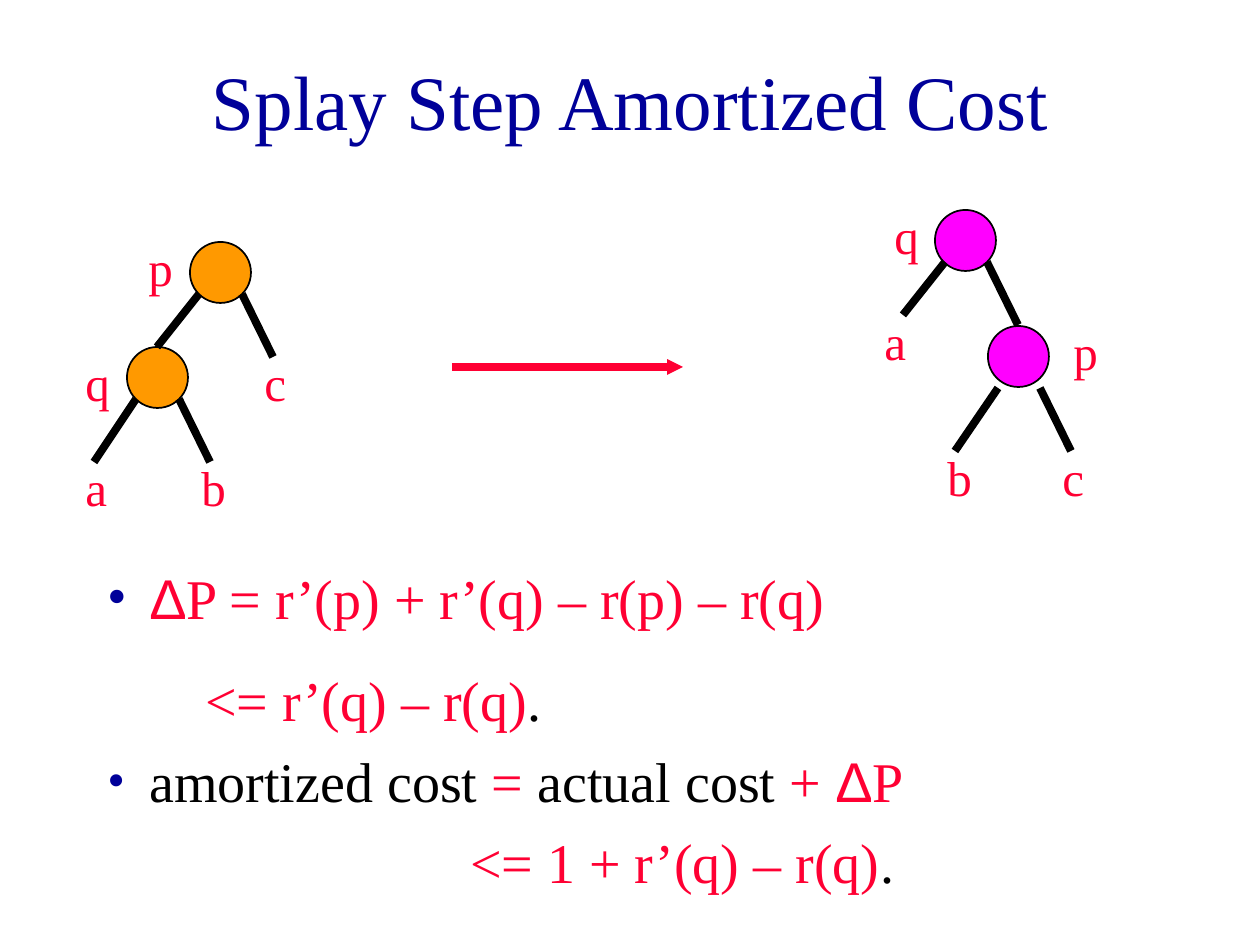
from dataclasses import dataclass

from lxml import etree
from pptx import Presentation
from pptx.dml.color import RGBColor
from pptx.enum import shapes, text
from pptx.oxml.ns import qn
from pptx.util import Emu, Pt

EMU_PER_PIXEL = 914400 // 126


@dataclass(frozen=True)
class Theme:
    title: str = "000099"
    accent: str = "FF0033"
    ink: str = "000000"
    before: str = "FF9900"
    after: str = "FF00FF"
    serif: str = "Times New Roman"
    sans: str = "Arial"
    title_size: int = 44
    label_size: int = 28
    body_size: int = 32
    thin: float = 1
    thick: float = 4.5


THEME = Theme()


@dataclass(frozen=True)
class Tree:
    color: str
    nodes: tuple    # left, top
    edges: tuple    # from x, from y, to x, to y
    labels: tuple   # text, left, top, width


@dataclass(frozen=True)
class Line:
    runs: tuple     # text, color
    indent: int
    space_before: int
    bullet_scale: int = 0


TREES = (
    Tree(
        THEME.before,
        ((190, 242), (127, 347)),
        ((199, 294, 157, 347), (242, 294, 273, 357),
         (136, 399, 94, 462), (179, 399, 210, 462)),
        (("p", 136, 231, 42), ("q", 73, 346, 42), ("a", 73, 451, 84),
         ("b", 189, 451, 84), ("c", 252, 346, 84)),
    ),
    Tree(
        THEME.after,
        ((935, 210), (988, 326)),
        ((987, 262, 1018, 325), (945, 262, 903, 315),
         (998, 388, 955, 451), (1040, 388, 1071, 451)),
        (("q", 882, 199, 42), ("a", 872, 305, 94), ("p", 1061, 315, 42),
         ("b", 935, 441, 84), ("c", 1050, 441, 84)),
    ),
)

LINES = (
    Line((("Δ", THEME.accent), ("P = r’(p) + r’(q) – r(p) – r(q)", THEME.accent)), 42, 20, 100),
    Line((("<= r’(q) – r(q)", THEME.accent), (".", THEME.ink)), 98, 20),
    Line((("amortized cost ", THEME.ink), ("= ", THEME.accent), ("actual cost ", THEME.ink),
          ("+ ", THEME.accent), ("Δ", THEME.accent), ("P", THEME.accent)), 42, 8, 90),
    Line((("<= 1 + r’(q) – r(q)", THEME.accent), (".", THEME.ink)), 363, 8),
)


def px(pixels: int) -> Emu:
    return Emu(pixels * EMU_PER_PIXEL)


def rgb(color: str) -> RGBColor:
    return RGBColor.from_string(color)


def style_run(run, size: int, color: str) -> None:
    run.font.size = Pt(size)
    run.font.name = THEME.sans if run.text == "Δ" else THEME.serif
    run.font.color.rgb = rgb(color)


def add_text_frame(slide, left: int, top: int, width: int, height: int):
    frame = slide.shapes.add_textbox(px(left), px(top), px(width), px(height)).text_frame
    frame.word_wrap = True
    return frame


def add_label(slide, wording: str, left: int, top: int, width: int) -> None:
    frame = add_text_frame(slide, left, top, width, 72)
    frame.text = wording
    paragraph = frame.paragraphs[0]
    paragraph.space_before = Pt(17.5)
    style_run(paragraph.runs[0], THEME.label_size, THEME.accent)


def add_line(slide, ends: tuple, color: str, arrow: bool = False) -> None:
    connector = slide.shapes.add_connector(shapes.MSO_CONNECTOR.STRAIGHT, *map(px, ends))
    connector.line.color.rgb = rgb(color)
    connector.line.width = Pt(THEME.thick)
    if arrow:
        etree.SubElement(connector.line._get_or_add_ln(), qn("a:tailEnd"), type="triangle",
                         w="sm", len="sm")
    etree.SubElement(connector._element.spPr, qn("a:effectLst"))


def add_node(slide, left: int, top: int, color: str) -> None:
    node = slide.shapes.add_shape(shapes.MSO_SHAPE.OVAL, px(left), px(top), px(61), px(61))
    node.shadow.inherit = False
    node.fill.solid()
    node.fill.fore_color.rgb = rgb(color)
    node.line.color.rgb = rgb(THEME.ink)
    node.line.width = Pt(THEME.thin)


def add_tree(slide, tree: Tree) -> None:
    for left, top in tree.nodes:
        add_node(slide, left, top, tree.color)
    for edge in tree.edges:
        add_line(slide, edge, THEME.ink)
    for label in tree.labels:
        add_label(slide, *label)


def fill_paragraph(paragraph, line: Line) -> None:
    paragraph.space_before = Pt(line.space_before)
    for wording, color in line.runs:
        run = paragraph.add_run()
        run.text = wording
        style_run(run, THEME.body_size, color)
    properties = paragraph._p.get_or_add_pPr()
    properties.set("marL", str(px(line.indent)))
    properties.set("indent", str(-px(line.indent) if line.bullet_scale else 0))
    if line.bullet_scale:
        bullet_color = etree.SubElement(properties, qn("a:buClr"))
        etree.SubElement(bullet_color, qn("a:srgbClr"), val=THEME.title)
        etree.SubElement(properties, qn("a:buSzPct"), val=str(line.bullet_scale * 1000))
        etree.SubElement(properties, qn("a:buFont"), typeface=THEME.serif)
        etree.SubElement(properties, qn("a:buChar"), char="•")


presentation = Presentation()
presentation.slide_width, presentation.slide_height = px(1260), px(945)
slide = presentation.slides.add_slide(presentation.slide_layouts[6])

# Title
title = add_text_frame(slide, 95, 21, 1071, 158)
title.vertical_anchor = text.MSO_ANCHOR.MIDDLE
title.text = "Splay Step Amortized Cost"
title.paragraphs[0].alignment = text.PP_ALIGN.CENTER
style_run(title.paragraphs[0].runs[0], THEME.title_size, THEME.title)

# Trees before and after the step
for tree in TREES:
    add_tree(slide, tree)
add_line(slide, (452, 367, 683, 367), THEME.accent, arrow=True)

# Cost derivation
body = add_text_frame(slide, 95, 557, 1081, 447)
for index, line in enumerate(LINES):
    fill_paragraph(body.add_paragraph() if index else body.paragraphs[0], line)

presentation.save("out.pptx")
